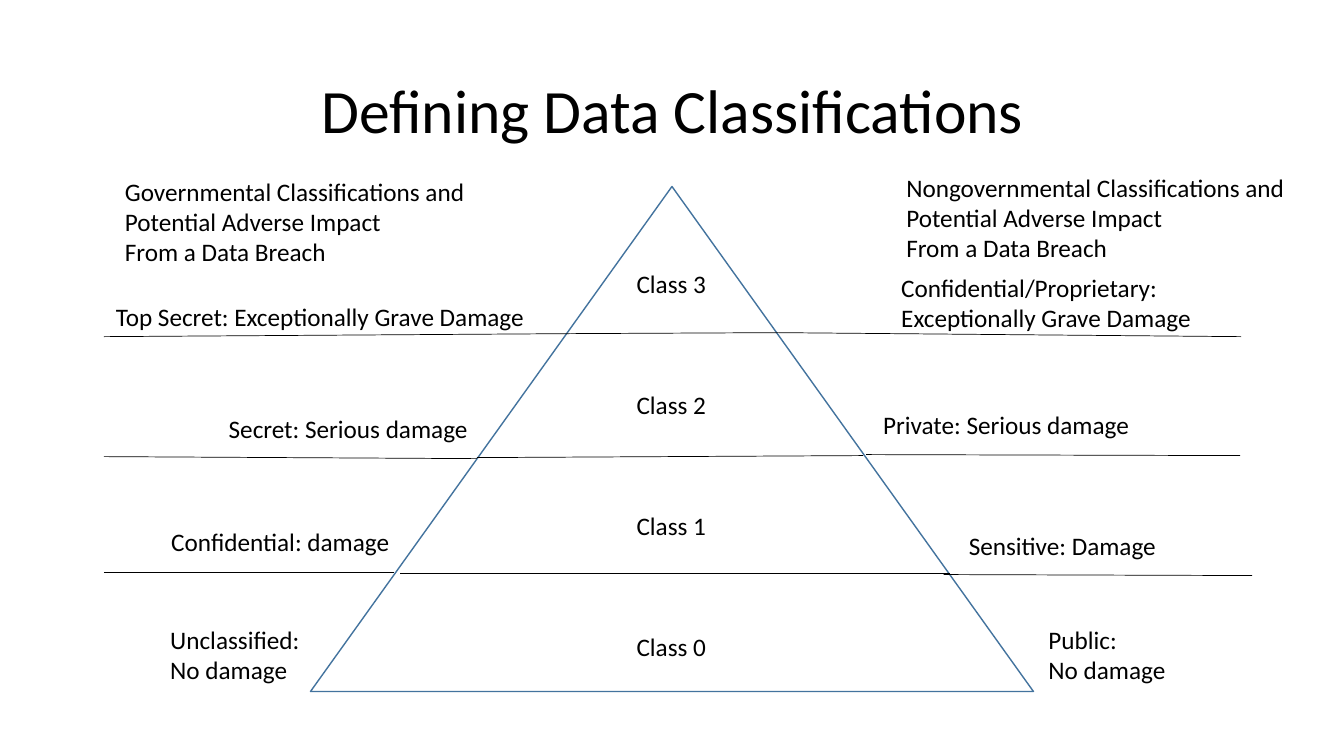
import pptx
import pptx.dml.color
import pptx.enum.shapes
import pptx.enum.text
import pptx.oxml.ns
import pptx.util
from lxml import etree

Inches = pptx.util.Inches
COLORS = {"text": "000000", "rule": "000000", "edge": "43739E", "paper": "FFFFFF"}
FONT = "Calibri"
CLASS_STEP = 1.2


def color(name):
    """Return the named colour."""
    return pptx.dml.color.RGBColor.from_string(COLORS[name])


def write_text(frame, text, size=18, align=None, spacing=None):
    """Fill a text frame with one formatted paragraph per line."""
    for number, line in enumerate(text.split("\n")):
        para = frame.paragraphs[0] if number == 0 else frame.add_paragraph()
        para.alignment = align
        para.line_spacing = spacing
        span = para.add_run()
        span.text = line
        span.font.name = FONT
        span.font.size = pptx.util.Pt(size)
        span.font.color.rgb = color("text")


def add_label(page, left, top, width, text):
    """Add an unwrapped label that is as tall as its lines."""
    height = 0.1 + 0.3 * len(text.split("\n"))
    box = page.shapes.add_textbox(Inches(left), Inches(top), Inches(width), Inches(height))
    box.text_frame.word_wrap = False
    box.text_frame.auto_size = pptx.enum.text.MSO_AUTO_SIZE.SHAPE_TO_FIT_TEXT
    write_text(box.text_frame, text)


def add_rule(page, left, top, start, end):
    """Add a thin line between two points relative to a corner."""
    line = page.shapes.add_connector(
        pptx.enum.shapes.MSO_CONNECTOR.STRAIGHT,
        Inches(left + start[0]), Inches(top + start[1]),
        Inches(left + end[0]), Inches(top + end[1]),
    )
    line.line.color.rgb = color("rule")
    line.line.width = pptx.util.Pt(0.5)
    etree.SubElement(line._element.spPr, pptx.oxml.ns.qn("a:effectLst"))


def build_title(page, left, top, width, height, text):
    """Place the slide title in its placeholder."""
    title = page.shapes.title
    title.left, title.top = Inches(left), Inches(top)
    title.width, title.height = Inches(width), Inches(height)
    frame = title.text_frame
    frame.auto_size = pptx.enum.text.MSO_AUTO_SIZE.NONE
    frame.vertical_anchor = pptx.enum.text.MSO_ANCHOR.MIDDLE
    write_text(frame, text, size=44, align=pptx.enum.text.PP_ALIGN.CENTER, spacing=0.9)


def build_pyramid(page, left, top, width, height, classes, rules):
    """Draw the pyramid with its class names and dividing rules."""
    pyramid = page.shapes.add_shape(
        pptx.enum.shapes.MSO_SHAPE.ISOSCELES_TRIANGLE,
        Inches(left), Inches(top), Inches(width), Inches(height),
    )
    pyramid.shadow.inherit = False
    pyramid.fill.solid()
    pyramid.fill.fore_color.rgb = color("paper")
    pyramid.line.color.rgb = color("edge")
    pyramid.line.width = pptx.util.Pt(1)
    label_width = 0.9
    for number, name in enumerate(classes):
        label_top = top + 0.76 + number * CLASS_STEP
        add_label(page, left + (width - label_width) / 2, label_top, label_width, name)
    for start, end in rules:
        add_rule(page, left, top, start, end)


def build_side(page, left, top, labels, rules):
    """Place one sector's labels and rules beside the pyramid."""
    for start, end in rules:
        add_rule(page, left, top, start, end)
    for across, down, width, text in labels:
        add_label(page, left + across, top + down, width, text)


def build_slide(deck):
    """Build the data classification slide."""
    page = deck.slides.add_slide(deck.slide_layouts[5])
    build_title(page, 0.92, 0.4, 11.5, 1.45, "Defining Data Classifications")
    build_pyramid(
        page, 3.08, 1.85, 7.17, 5.01,
        classes=["Class 3", "Class 2", "Class 1", "Class 0"],
        rules=[
            ((2.58, 1.46), (4.64, 1.45)),
            ((1.65, 2.69), (5.48, 2.67)),
            ((0.89, 3.84), (6.34, 3.84)),
        ],
    )
    impact = "Classifications and\nPotential Adverse Impact\nFrom a Data Breach"
    build_side(
        page, 1.03, 1.7,
        labels=[
            (0.11, 0, 3.61, f"Governmental {impact}"),
            (0.02, 1.24, 4.3, "Top Secret: Exceptionally Grave Damage"),
            (1.14, 2.35, 2.6, "Secret: Serious damage"),
            (0.57, 3.47, 2.39, "Confidential: damage"),
            (0.56, 4.44, 1.5, "Unclassified:\nNo damage"),
        ],
        rules=[
            ((0, 1.64), (4.63, 1.61)),
            ((0, 2.83), (3.7, 2.85)),
            ((0, 3.98), (2.88, 3.98)),
        ],
    )
    build_side(
        page, 7.72, 1.66,
        labels=[
            (1.17, 0, 3.99, f"Nongovernmental {impact}"),
            (1.12, 0.99, 3.11, "Confidential/Proprietary:\nExceptionally Grave Damage"),
            (0.94, 2.35, 2.67, "Private: Serious damage"),
            (1.79, 3.55, 2.08, "Sensitive: Damage"),
            (2.58, 4.48, 1.38, "Public:\nNo damage"),
        ],
        rules=[
            ((0, 1.64), (4.59, 1.68)),
            ((0.87, 2.85), (4.58, 2.86)),
            ((1.64, 4.04), (4.7, 4.05)),
        ],
    )


def main():
    """Create and save the deck."""
    deck = pptx.Presentation()
    deck.slide_width, deck.slide_height = Inches(13.33), Inches(7.5)
    build_slide(deck)
    deck.save("out.pptx")


if __name__ == "__main__":
    main()
